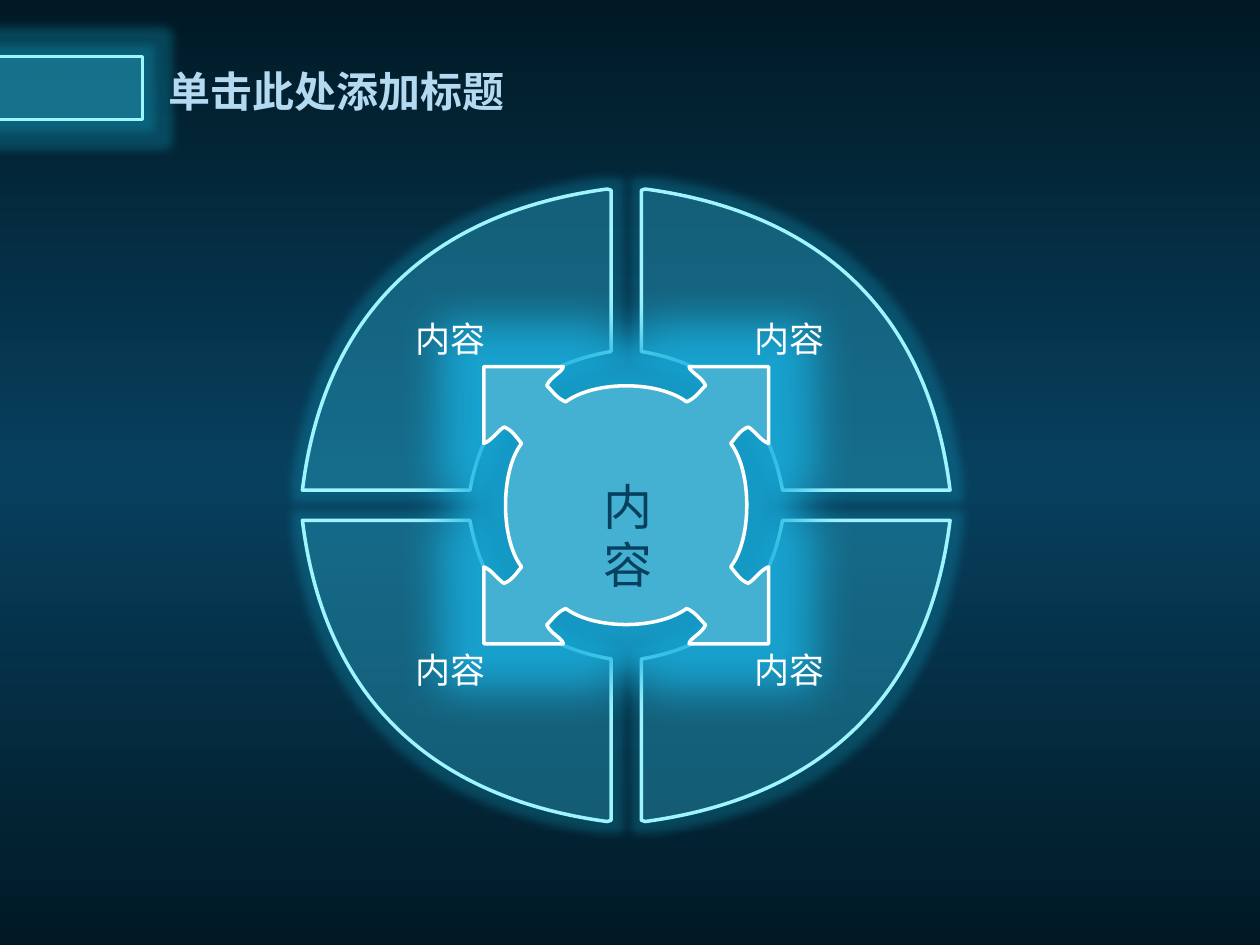
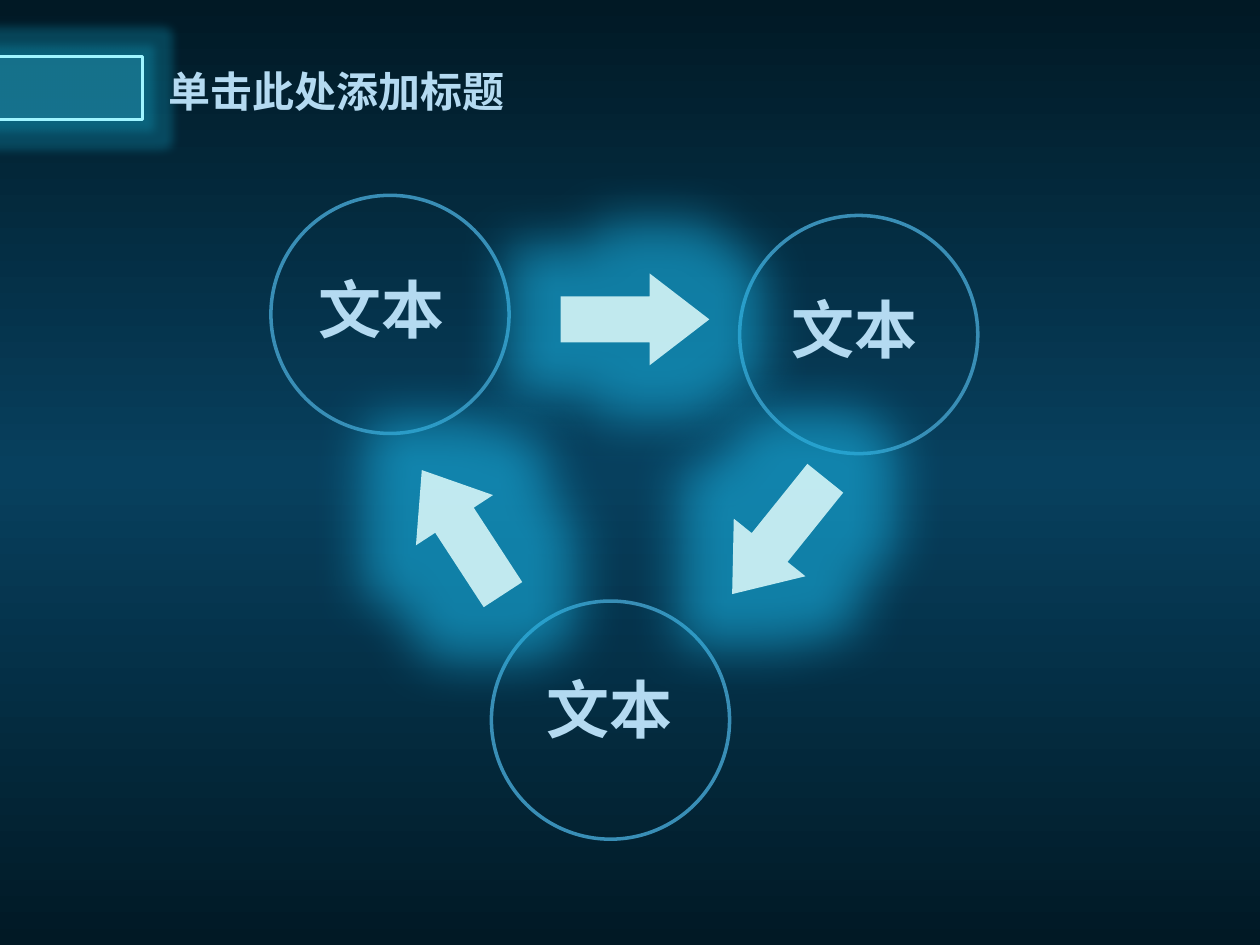
from copy import deepcopy
from dataclasses import dataclass

from lxml.etree import SubElement
from pptx import Presentation
from pptx.dml.color import RGBColor
from pptx.enum.shapes import MSO_SHAPE as Preset
from pptx.enum.text import MSO_AUTO_SIZE as AutoSize, PP_ALIGN as Align
from pptx.oxml.ns import qn
from pptx.util import Cm, Pt


@dataclass(frozen=True)
class Theme:
    font: str = "Noto Sans CJK SC"
    night: str = "011925"
    deep: str = "07405E"
    sky: str = "45B1D2"
    edge: str = "9FF5FF"
    ring: str = "398EB6"
    heading: str = "B4DAF1"
    arrow: str = "E5FFFE"
    white: str = "FFFFFF"
    soft_glow: str = "129CBE"
    bright_glow: str = "18B0E0"
    title_size: int = 24
    label_size: int = 20
    core_size: int = 28
    ring_size: int = 36
    line: int = 2


THEME = Theme()
rgb = RGBColor.from_string


def inch(value):
    return Cm(value * 2.54)


def box(left, top, width, height):
    return [inch(value) for value in (left, top, width, height)]


# Styling
def set_alpha(colour, percent):
    SubElement(colour, qn("a:alpha"), val=str(percent * 1000))


def style(shape, fill=None, alpha=100, line=None, glow=None):
    """Set fill and outline; glow is (colour, radius in points, opacity)."""
    shape.shadow.inherit = False
    properties = shape.element.spPr
    if fill:
        shape.fill.solid()
        shape.fill.fore_color.rgb = rgb(fill)
        if alpha < 100:
            set_alpha(properties.find(qn("a:solidFill"))[0], alpha)
    else:
        shape.fill.background()
    if line:
        shape.line.color.rgb = rgb(line)
        shape.line.width = Pt(THEME.line)
    else:
        shape.line.fill.background()
    if glow:
        colour, radius, opacity = glow
        halo = SubElement(properties.find(qn("a:effectLst")), qn("a:glow"),
                          rad=str(Pt(radius)))
        set_alpha(SubElement(halo, qn("a:srgbClr"), val=colour), opacity)


def add_text(slide, text, place, size, colour, bold=False, align=Align.LEFT):
    frame = slide.shapes.add_textbox(*box(*place)).text_frame
    frame.word_wrap = True
    frame.auto_size = AutoSize.SHAPE_TO_FIT_TEXT
    frame.text = text
    paragraph = frame.paragraphs[0]
    paragraph.alignment = align
    font = paragraph.runs[0].font
    font.name, font.size, font.bold = THEME.font, Pt(size), bold
    font.color.rgb = rgb(colour)
    SubElement(font._element, qn("a:ea"), typeface=THEME.font)


# Outlines: a start point, then line ends (2 numbers) or curves (6 numbers)
def pairs(segment):
    return [segment[i:i + 2] for i in range(0, len(segment), 2)]


def mirror(outline, flip_x, flip_y):
    return [tuple(value * (flip_y if i % 2 else flip_x)
                  for i, value in enumerate(segment)) for segment in outline]


def reverse(outline):
    turned = [outline[-1][-2:]]
    for before, segment in zip(outline[-2::-1], outline[:0:-1]):
        turned.append(sum(pairs(segment)[-2::-1], ()) + before[-2:])
    return turned


def add_outline(slide, centre, outline):
    placed = [[(inch(centre[0] + x), inch(centre[1] + y)) for x, y in pairs(segment)]
              for segment in outline]
    ends = [segment[-1] for segment in placed]
    builder = slide.shapes.build_freeform(*ends[0], scale=1.0)
    builder.add_line_segments(ends[1:], close=True)
    shape = builder.convert_to_shape()
    # Bend the lines that are curves
    lines = shape.element.spPr.findall(".//" + qn("a:lnTo"))
    for line, segment in zip(lines, placed[1:]):
        if len(segment) == 3:
            curve = line.makeelement(qn("a:cubicBezTo"))
            for x, y in segment:
                SubElement(curve, qn("a:pt"), x=str(x - shape.left), y=str(y - shape.top))
            line.getparent().replace(line, curve)
    return shape


# Shared parts
def add_backdrop(slide):
    backdrop = slide.shapes.add_shape(Preset.RECTANGLE, *box(0, 0, 10, 7.5))
    style(backdrop)
    backdrop.fill.gradient()
    backdrop.fill.gradient_angle = 90
    first, middle = backdrop.fill.gradient_stops
    first.color.rgb, first.position = rgb(THEME.night), 0
    middle.color.rgb, middle.position = rgb(THEME.deep), 0.5
    stops = backdrop.element.spPr.find(".//" + qn("a:gsLst"))
    last = deepcopy(stops[0])
    last.set("pos", "100000")
    stops.append(last)


def add_slide(deck):
    slide = deck.slides.add_slide(deck.slide_layouts[6])
    add_backdrop(slide)
    band = slide.shapes.add_shape(Preset.RECTANGLE, *box(-0.04, 0.45, 1.17, 0.5))
    style(band, THEME.sky, 20, THEME.edge, (THEME.soft_glow, 11, 32))
    add_text(slide, "单击此处添加标题", (1.24, 0.47, 4.78, 0.5),
             THEME.title_size, THEME.heading, bold=True)
    return slide


# Slide 1: four quarters round a core
def build_quarters(deck):
    slide = add_slide(deck)
    centre = (4.97, 4.01)
    quarter = [(0.12, 2.5), (0.12, 1.22),
               (0.76, 1.11, 1.13, 0.74, 1.24, 0.12), (2.57, 0.12),
               (2.4, 1.51, 1.56, 2.32, 0.15, 2.51)]
    for flip_x, flip_y in ((-1, 1), (1, 1), (1, -1), (-1, -1)):
        piece = add_outline(slide, centre, mirror(quarter, flip_x, flip_y))
        style(piece, THEME.sky, 20, THEME.edge, (THEME.soft_glow, 11, 30))

    # The core is one notched corner, mirrored and joined by arcs
    corner = [(0.48, 0.82),
              (0.55, 0.85, 0.58, 0.9, 0.63, 0.95),
              (0.6, 1.02, 0.5, 1.06, 0.5, 1.1),
              (1.13, 1.1), (1.13, 0.49),
              (1.07, 0.51, 1.02, 0.59, 0.97, 0.62),
              (0.91, 0.6, 0.88, 0.55, 0.83, 0.49)]
    side_arc = (1, -0.27, 1, 0.27, 0.83, 0.49)
    base_arc = (0.25, 0.99, -0.25, 0.99, -0.48, 0.82)
    half = mirror(corner, 1, -1) + [side_arc] + reverse(corner)[1:] + [base_arc]
    core_outline = half + mirror(half, -1, -1)[1:]
    core = add_outline(slide, centre, core_outline)
    style(core, THEME.sky, line=THEME.white, glow=(THEME.bright_glow, 50, 80))

    for left in (5.89, 3.2):
        for top in (2.47, 5.1):
            add_text(slide, "内容", (left, top, 0.84, 0.48),
                     THEME.label_size, THEME.white)
    add_text(slide, "内容", (4.53, 3.73, 0.91, 0.53), THEME.core_size,
             THEME.deep, align=Align.CENTER)


# Slide 2: three rings joined by arrows
def build_cycle(deck):
    slide = add_slide(deck)
    rings = (((2.15, 1.55), (2.22, 2.1)),
             ((5.87, 1.71), (5.97, 2.26)),
             ((3.9, 4.77), (4.03, 5.27)))
    for ring_corner, text_corner in rings:
        ring = slide.shapes.add_shape(Preset.OVAL, *box(*ring_corner, 1.89, 1.89))
        style(ring, line=THEME.ring)
        add_text(slide, "文本", (*text_corner, 1.62, 0.71), THEME.ring_size,
                 THEME.heading, bold=True, align=Align.CENTER)

    for left, top, turn in ((4.45, 2.17, 0), (5.59, 3.89, 128.8), (3.08, 3.86, 236.9)):
        arrow = slide.shapes.add_shape(Preset.RIGHT_ARROW, *box(left, top, 1.18, 0.73))
        arrow.adjustments[0], arrow.adjustments[1] = 0.5, 0.65
        arrow.rotation = turn
        style(arrow, THEME.arrow, 83, glow=(THEME.bright_glow, 60, 60))


def main():
    deck = Presentation()
    deck.slide_width, deck.slide_height = inch(10), inch(7.5)
    build_quarters(deck)
    build_cycle(deck)
    deck.save("out.pptx")


main()
